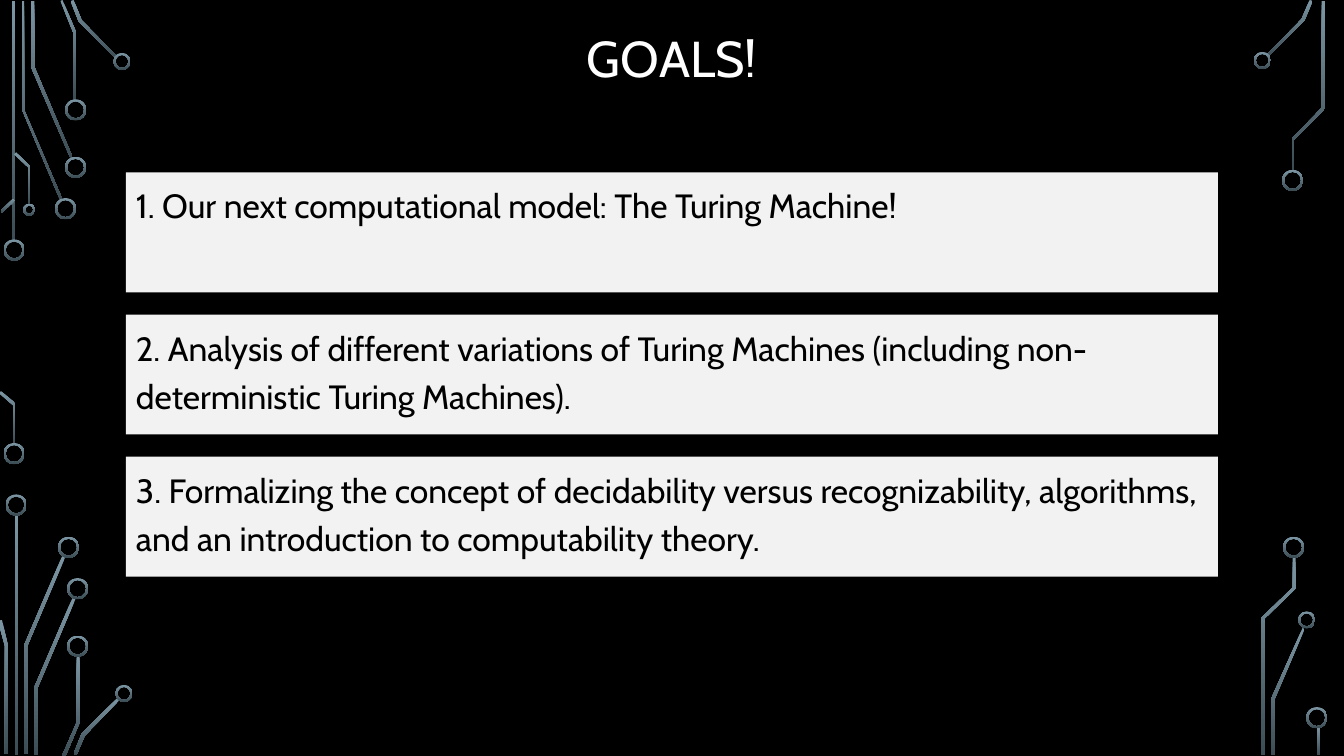
from dataclasses import dataclass

from pptx import Presentation
from pptx.dml.color import RGBColor
from pptx.enum.shapes import MSO_SHAPE as SHAPE
from pptx.enum.text import MSO_ANCHOR as ANCHOR, PP_ALIGN as ALIGN
from pptx.shapes.autoshape import Shape
from pptx.slide import Slide
from pptx.util import Inches, Pt

COLORS = {
    "back": "000000",
    "title": "FFFFFF",
    "panel": "F2F2F2",
    "body": "000000",
    "trace_top": "7C96A3",
    "trace_end": "3B4C54",
}
FONT = "Cabin"
RING_WIDTH = 0.02


@dataclass
class Bar:
    left: float
    top: float
    height: float
    width: float = 0.03


@dataclass
class Ring:
    """A round pad at the end of a trace."""
    x: float
    y: float
    size: float = 0.21


@dataclass
class Trace:
    """A bent circuit line, given by its outline."""
    points: list[tuple[float, float]]


@dataclass
class Goal:
    text: str


BARS = [Bar(0.12, 0.01, 2.39), Bar(0.15, 5.1, 2.39), Bar(13.06, 7.21, 0.28)]

RINGS = [
    # Top left
    Ring(0.14, 2.48), Ring(0.14, 4.5), Ring(0.65, 2.07), Ring(0.75, 1.66),
    Ring(0.75, 1.09), Ring(1.21, 0.61, 0.17), Ring(0.29, 2.08, 0.12),
    # Bottom left
    Ring(0.16, 5.01), Ring(0.68, 5.43), Ring(0.77, 5.84), Ring(0.77, 6.41),
    Ring(1.23, 6.88, 0.17),
    # Right
    Ring(12.52, 0.6, 0.17), Ring(12.82, 1.79), Ring(12.96, 6.15, 0.17),
    Ring(12.83, 5.43), Ring(13.06, 7.12),
]

TRACES = [
    # Top left
    Trace([(0.6, 1.99), (0.22, 1.09), (0.22, 0.01), (0.24, 0.01), (0.24, 1.09), (0.62, 1.98)]),
    Trace([(0.7, 1.57), (0.31, 0.67), (0.31, 0.01), (0.34, 0.01), (0.34, 0.66), (0.72, 1.56)]),
    Trace([(0.76, 1), (0.73, 1), (0.73, 0.33), (0.6, 0.01), (0.62, 0), (0.76, 0.33)]),
    Trace([(1.15, 0.58), (0.78, 0.21), (0.7, 0.01), (0.73, 0), (0.81, 0.2), (1.16, 0.56)]),
    Trace([(0.02, 2.11), (0.01, 2.09), (0.13, 1.97), (0.15, 1.99)]),
    Trace([(0.15, 4.41), (0.13, 4.41), (0.13, 4.02), (-0.01, 3.9), (0.01, 3.88), (0.15, 4)]),
    Trace([(0.3, 2.03), (0.28, 2.03), (0.28, 1.66), (0.14, 1.53), (0.16, 1.51), (0.3, 1.65)]),
    # Bottom left
    Trace([(0.27, 7.48), (0.24, 7.48), (0.24, 6.4), (0.62, 5.51), (0.65, 5.52), (0.27, 6.41)]),
    Trace([(0.08, 7.48), (0.05, 7.48), (0.05, 6.41), (-0.02, 6.16), (0.02, 6.15), (0.08, 6.41)]),
    Trace([(0.37, 7.49), (0.34, 7.49), (0.34, 6.82), (0.72, 5.93), (0.75, 5.94), (0.37, 6.83)]),
    Trace([(0.65, 7.5), (0.62, 7.49), (0.76, 7.17), (0.76, 6.5), (0.79, 6.5), (0.79, 7.17)]),
    Trace([(0.76, 7.49), (0.73, 7.48), (0.81, 7.28), (1.17, 6.92), (1.19, 6.94), (0.84, 7.3)]),
    # Top right
    Trace([(12.58, 0.56), (12.56, 0.55), (12.91, 0.19), (12.99, 0), (13.02, 0.01), (12.94, 0.2)]),
    Trace([(12.83, 1.69), (12.81, 1.69), (12.81, 1.38), (13.11, 1.07), (13.11, 0.01),
           (13.14, 0.01), (13.14, 1.08), (12.83, 1.39)]),
    # Bottom right
    Trace([(12.64, 7.49), (12.61, 7.49), (12.61, 6.93), (12.92, 6.23), (12.94, 6.24), (12.64, 6.94)]),
    Trace([(12.54, 7.49), (12.51, 7.49), (12.51, 6.13), (12.82, 5.83), (12.82, 5.52),
           (12.85, 5.52), (12.85, 5.84), (12.54, 6.14)]),
]

GOALS = [
    Goal("1. Our next computational model: The Turing Machine!"),
    Goal("2. Analysis of different variations of Turing Machines "
         "(including non-deterministic Turing Machines)."),
    Goal("3. Formalizing the concept of decidability versus recognizability, "
         "algorithms, and an introduction to computability theory."),
]
LEFT, WIDTH = 1.25, 10.83
GOAL_TOP, GOAL_HEIGHT, GOAL_STEP = 1.71, 1.19, 1.41

TITLE_PARAGRAPH = {"alignment": ALIGN.CENTER, "line_spacing": 0.9}
GOAL_PARAGRAPH = {"alignment": ALIGN.LEFT, "line_spacing": 1.2, "space_before": Pt(10)}


def rgb(name: str) -> RGBColor:
    return RGBColor.from_string(COLORS[name])


def paint_circuit(s: Shape) -> None:
    s.shadow.inherit = False
    s.line.fill.background()
    s.fill.gradient()
    s.fill.gradient_angle = 270
    for stop, name in zip(s.fill.gradient_stops, ("trace_top", "trace_end")):
        stop.color.rgb = rgb(name)


def draw_bar(slide: Slide, bar: Bar) -> None:
    box = map(Inches, (bar.left, bar.top, bar.width, bar.height))
    paint_circuit(slide.shapes.add_shape(SHAPE.RECTANGLE, *box))


def draw_ring(slide: Slide, ring: Ring) -> None:
    half = ring.size / 2
    box = map(Inches, (ring.x - half, ring.y - half, ring.size, ring.size))
    s = slide.shapes.add_shape(SHAPE.DONUT, *box)
    s.adjustments[0] = RING_WIDTH / ring.size
    paint_circuit(s)


def draw_trace(slide: Slide, trace: Trace) -> None:
    start, *rest = [(Inches(x), Inches(y)) for x, y in trace.points]
    builder = slide.shapes.build_freeform(*start)
    builder.add_line_segments(rest, close=True)
    paint_circuit(builder.convert_to_shape())


def write(s: Shape, text: str, size: int, color: str, anchor: ANCHOR, layout: dict) -> None:
    tf = s.text_frame
    tf.word_wrap = True
    tf.vertical_anchor = anchor
    p = tf.paragraphs[0]
    for name, value in layout.items():
        setattr(p, name, value)
    r = p.add_run()
    r.text = text
    for name, value in {"name": FONT, "size": Pt(size)}.items():
        setattr(r.font, name, value)
    r.font.color.rgb = rgb(color)


def draw_goal(slide: Slide, goal: Goal, top: float) -> None:
    box = map(Inches, (LEFT, top, WIDTH, GOAL_HEIGHT))
    s = slide.shapes.add_shape(SHAPE.RECTANGLE, *box)
    s.shadow.inherit = False
    s.fill.solid()
    s.fill.fore_color.rgb = rgb("panel")
    s.line.fill.background()
    write(s, goal.text, 24, "body", ANCHOR.TOP, GOAL_PARAGRAPH)


def main() -> None:
    prs = Presentation()
    prs.slide_width, prs.slide_height = Inches(13.33), Inches(7.5)
    slide = prs.slides.add_slide(prs.slide_layouts[6])
    slide.background.fill.solid()
    slide.background.fill.fore_color.rgb = rgb("back")

    # Circuit decoration
    for bar in BARS:
        draw_bar(slide, bar)
    for trace in TRACES:
        draw_trace(slide, trace)
    for ring in RINGS:
        draw_ring(slide, ring)

    # Title
    title = slide.shapes.add_textbox(*map(Inches, (LEFT, 0.14, WIDTH, 0.94)))
    write(title, "GOALS!", 36, "title", ANCHOR.MIDDLE, TITLE_PARAGRAPH)

    # Goals
    for i, goal in enumerate(GOALS):
        draw_goal(slide, goal, GOAL_TOP + i * GOAL_STEP)

    prs.save("out.pptx")


if __name__ == "__main__":
    main()
